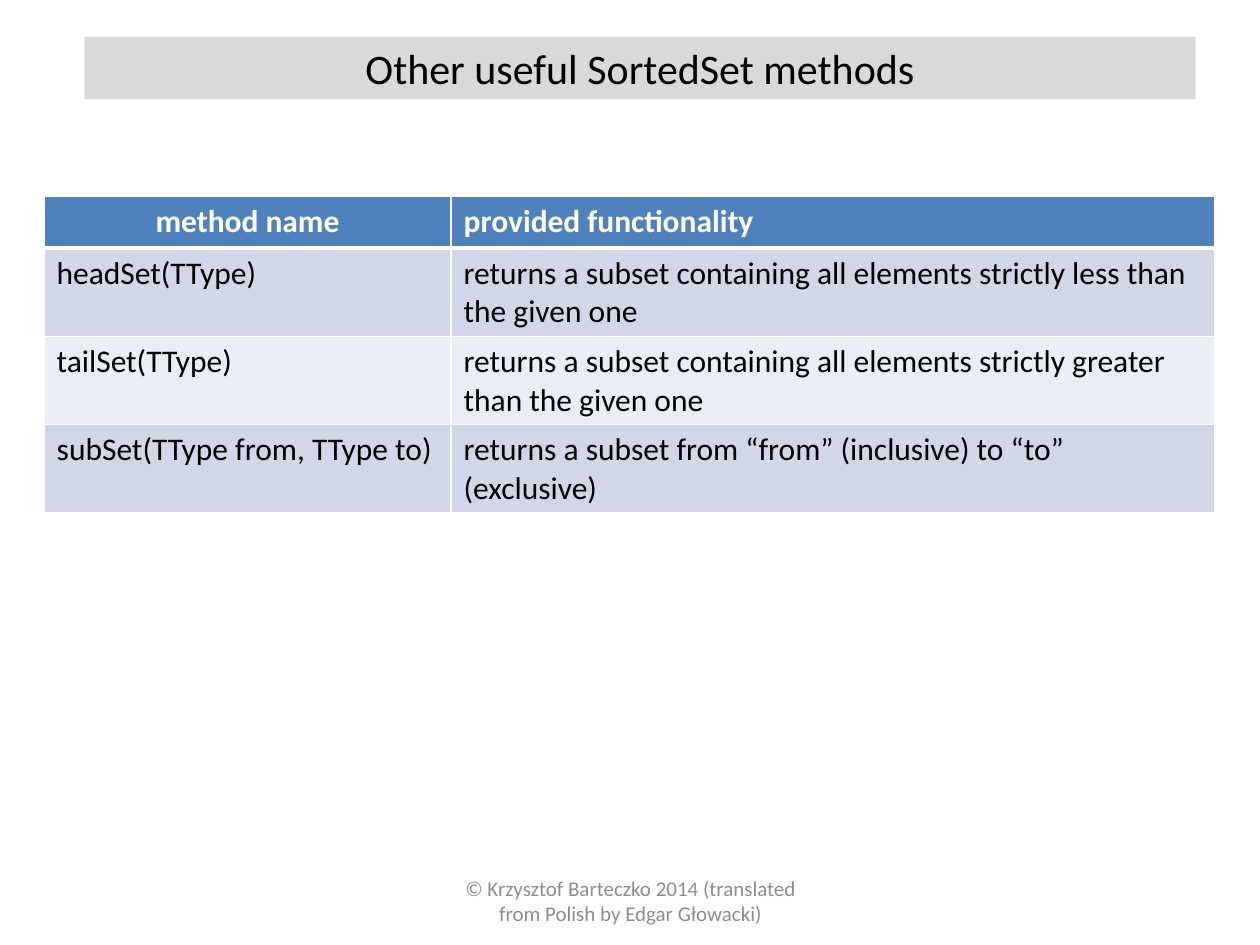
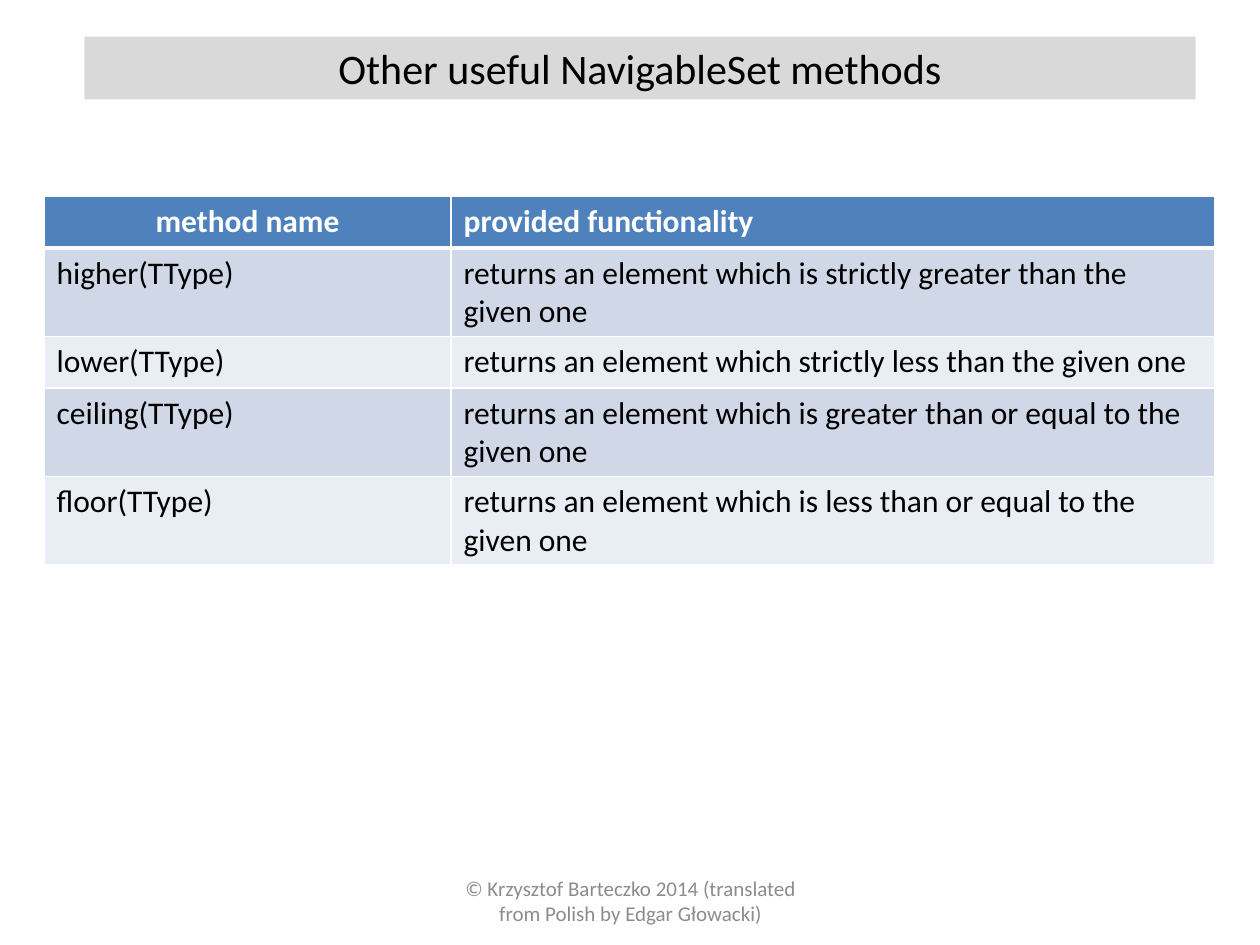
from lxml import etree
from pptx import Presentation
from pptx import util as u
from pptx.dml.color import RGBColor
from pptx.enum import shapes, text
from pptx.oxml import ns

WIDTH, HEIGHT = 10, 7.5
FONT = "Calibri"
BLACK, WHITE, GREY = "000000", "FFFFFF", "8C8C8C"
TITLE_BAND, HEADER = "D9D9D9", "4F81BD"
STRIPES = ("D0D8E8", "E9EDF4")
COLUMNS = (3.23, 6.06)
ROW_HEIGHT = 0.41
FOOTER = "© Krzysztof Barteczko 2014 (translated from Polish by Edgar Głowacki)"
HEADINGS = ("method name", "provided functionality")

SORTED_SET = [
    ("headSet(TType)", "returns a subset containing all elements strictly less than the given one"),
    ("tailSet(TType)", "returns a subset containing all elements strictly greater than the given one"),
    ("subSet(TType from, TType to)", "returns a subset from “from” (inclusive) to “to” (exclusive)"),
]
NAVIGABLE_SET = [
    ("higher(TType)", "returns an element which is strictly greater than the given one"),
    ("lower(TType)", "returns an element which strictly less than the given one"),
    ("ceiling(TType)", "returns an element which is greater than or equal to the given one"),
    ("floor(TType)", "returns an element which is less than or equal to the given one"),
]


def color(value):
    return RGBColor.from_string(value)


def paint(target, value):
    target.fill.solid()
    target.fill.fore_color.rgb = color(value)


def write(frame, words, size, value, bold=False, centred=False):
    frame.text = words
    frame.word_wrap = True
    paragraph = frame.paragraphs[0]
    paragraph.alignment = text.PP_ALIGN.CENTER if centred else text.PP_ALIGN.LEFT
    for run in paragraph.runs:
        run.font.name = FONT
        run.font.size = u.Pt(size)
        run.font.bold = bold
        run.font.color.rgb = color(value)


def add_title(slide, words):
    band = slide.shapes.add_shape(
        shapes.MSO_SHAPE.RECTANGLE, u.Inches(0.67), u.Inches(0.29), u.Inches(8.82), u.Inches(0.5))
    band.shadow.inherit = False
    paint(band, TITLE_BAND)
    band.line.fill.background()
    write(band.text_frame, words, 24, BLACK, centred=True)
    band.text_frame.vertical_anchor = text.MSO_ANCHOR.TOP
    band.text_frame.auto_size = text.MSO_AUTO_SIZE.SHAPE_TO_FIT_TEXT


def add_footer(slide):
    box = slide.shapes.add_textbox(
        u.Inches(3.42), u.Inches(6.95), u.Inches(3.17), u.Inches(0.4))
    write(box.text_frame, FOOTER, 12, GREY, centred=True)
    box.text_frame.vertical_anchor = text.MSO_ANCHOR.MIDDLE


def add_borders(cell, bottom):
    properties = cell._tc.get_or_add_tcPr()
    widths = {"a:lnL": 1, "a:lnR": 1, "a:lnT": 1, "a:lnB": bottom}
    for position, (side, width) in enumerate(widths.items()):
        line = etree.Element(ns.qn(side), w=str(u.Pt(width)))
        fill = etree.SubElement(line, ns.qn("a:solidFill"))
        etree.SubElement(fill, ns.qn("a:srgbClr"), val=WHITE)
        properties.insert(position, line)


def add_methods(slide, methods):
    rows = [HEADINGS, *methods]
    table = slide.shapes.add_table(
        len(rows), len(COLUMNS), u.Inches(0.35), u.Inches(1.56),
        u.Inches(sum(COLUMNS)), u.Inches(ROW_HEIGHT * len(rows))).table
    for column, width in zip(table.columns, COLUMNS):
        column.width = u.Inches(width)
    for row_index, row in enumerate(rows):
        heading = row_index == 0
        table.rows[row_index].height = u.Inches(ROW_HEIGHT)
        for column_index, words in enumerate(row):
            cell = table.cell(row_index, column_index)
            paint(cell, HEADER if heading else STRIPES[(row_index - 1) % 2])
            write(cell.text_frame, words, 18, WHITE if heading else BLACK,
                  bold=heading, centred=heading and column_index == 0)
            add_borders(cell, 3 if heading else 1)
            if row_index == 1:
                cell._tc.tcPr.find(ns.qn("a:lnT")).set("w", str(u.Pt(3)))


def add_slide(presentation, title, methods):
    slide = presentation.slides.add_slide(presentation.slide_layouts[6])
    paint(slide.background, WHITE)
    add_footer(slide)
    add_title(slide, title)
    add_methods(slide, methods)


def main():
    presentation = Presentation()
    presentation.slide_width = u.Inches(WIDTH)
    presentation.slide_height = u.Inches(HEIGHT)
    add_slide(presentation, "Other useful SortedSet methods", SORTED_SET)
    add_slide(presentation, "Other useful NavigableSet methods", NAVIGABLE_SET)
    presentation.save("out.pptx")


main()
